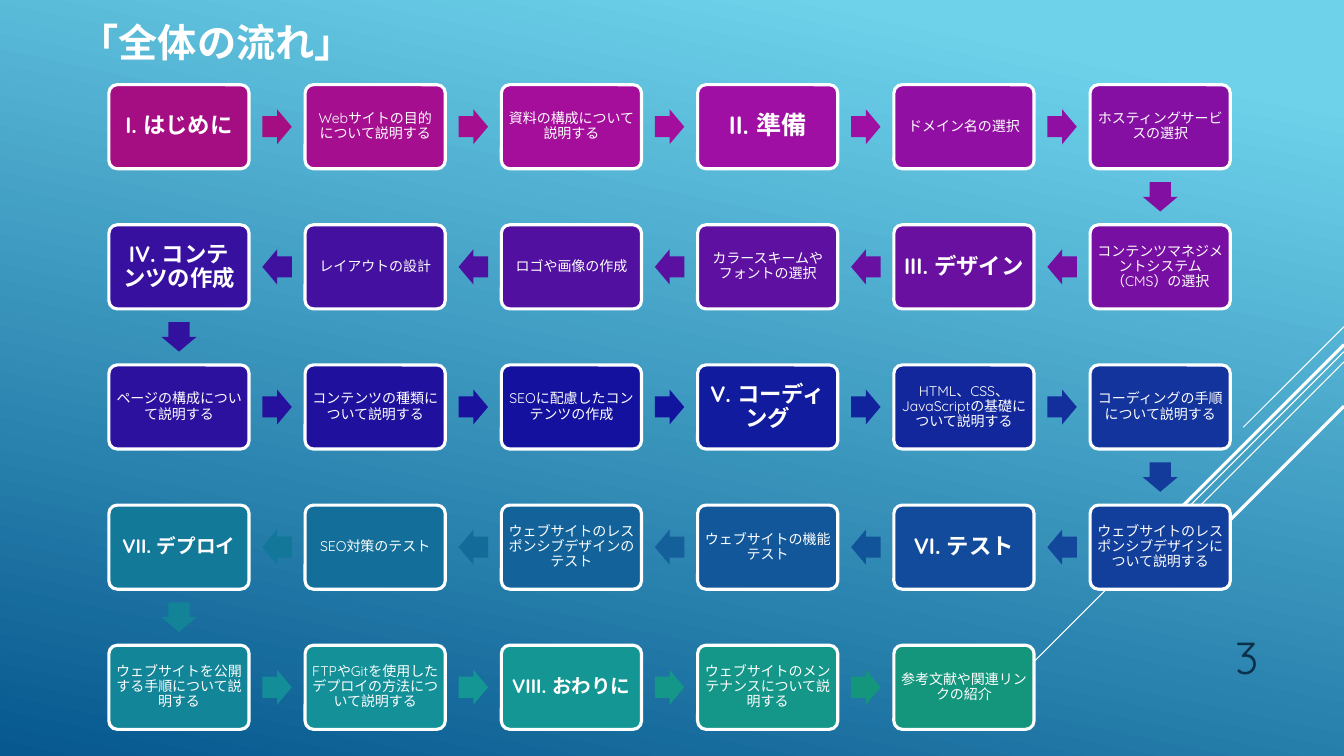
"""Build the slide that shows the whole flow of a web site project."""
from colorsys import hls_to_rgb, rgb_to_hls

from lxml import etree
from pptx import Presentation
from pptx.dml.color import RGBColor
from pptx.enum.shapes import MSO_CONNECTOR, MSO_SHAPE
from pptx.enum.text import MSO_ANCHOR, MSO_AUTO_SIZE, PP_ALIGN
from pptx.oxml.ns import qn
from pptx.util import Inches, Pt

ROUND, ARROW = MSO_SHAPE.ROUNDED_RECTANGLE, MSO_SHAPE.RIGHT_ARROW
LINE = MSO_CONNECTOR.STRAIGHT
TOP, MIDDLE, BOTTOM = MSO_ANCHOR.TOP, MSO_ANCHOR.MIDDLE, MSO_ANCHOR.BOTTOM
LEFT, CENTER, RIGHT = PP_ALIGN.LEFT, PP_ALIGN.CENTER, PP_ALIGN.RIGHT
GROW = MSO_AUTO_SIZE.SHAPE_TO_FIT_TEXT

WHITE = RGBColor(0xFF, 0xFF, 0xFF)
NAVY = RGBColor(0x0A, 0x30, 0x4A)
SKY = RGBColor(0x6E, 0xD2, 0xEB)
SEA = RGBColor(0x06, 0x58, 0x8E)
PINK = RGBColor(0xA5, 0x0E, 0x82)
GREEN = RGBColor(0x14, 0x96, 0x7C)

COLS = 6
BODY = 10
STEPS = [
    ("I. はじめに", 16),
    ("Webサイトの目的について説明する", BODY),
    ("資料の構成について説明する", BODY),
    ("II. 準備", 18),
    ("ドメイン名の選択", BODY),
    ("ホスティングサービスの選択", BODY),
    ("コンテンツマネジメントシステム（CMS）の選択", BODY),
    ("III. デザイン", 16),
    ("カラースキームやフォントの選択", BODY),
    ("ロゴや画像の作成", BODY),
    ("レイアウトの設計", BODY),
    ("IV. コンテンツの作成", 16),
    ("ページの構成について説明する", BODY),
    ("コンテンツの種類について説明する", BODY),
    ("SEOに配慮したコンテンツの作成", BODY),
    ("V. コーディング", 16),
    ("HTML、CSS、JavaScriptの基礎について説明する", BODY),
    ("コーディングの手順について説明する", BODY),
    ("ウェブサイトのレスポンシブデザインについて説明する", BODY),
    ("VI. テスト", 16),
    ("ウェブサイトの機能テスト", BODY),
    ("ウェブサイトのレスポンシブデザインのテスト", BODY),
    ("SEO対策のテスト", BODY),
    ("VII. デプロイ", 14),
    ("ウェブサイトを公開する手順について説明する", BODY),
    ("FTPやGitを使用したデプロイの方法について説明する", BODY),
    ("VIII. おわりに", 14),
    ("ウェブサイトのメンテナンスについて説明する", BODY),
    ("参考文献や関連リンクの紹介", BODY),
]
RAYS = [(43.2, 13.33, 0.75), (46.53, 43.47, 0.75), (47.87, 27.6, 0.75),
        (45.6, 25.47, 2.25), (53.73, 18.53, 2.25)]


def blend(part):
    """Return the colour at a share of the way from pink to green by hue."""
    ends = [rgb_to_hls(*(c / 255 for c in tone)) for tone in (PINK, GREEN)]
    mix = [a + (b - a) * part for a, b in zip(*ends)]
    return RGBColor(*(round(c * 255) for c in hls_to_rgb(*mix)))


def cell(num):
    """Return the column and row of a step on the winding route."""
    row, col = divmod(num, COLS)
    return (COLS - 1 - col if row % 2 else col), row


class Deck:
    """Hold the style and the current slide; lengths are percent of its size."""

    font = "Quicksand"

    def __init__(self):
        """Open a title-only slide and set up the grid of steps."""
        self.prs = Presentation()
        self.prs.slide_width, self.prs.slide_height = Inches(13.33), Inches(7.5)
        self.slide = self.prs.slides.add_slide(self.prs.slide_layouts[5])
        self.shapes = self.slide.shapes
        self.wide = self.x(10.43)
        self.high = int(self.wide * 0.6)

    def x(self, part):
        """Turn a percentage of the width into a length."""
        return int(self.prs.slide_width * part / 100)

    def y(self, part):
        """Turn a percentage of the height into a length."""
        return int(self.prs.slide_height * part / 100)

    def spot(self, col, row):
        """Return the centre of a grid cell."""
        return (self.x(8.1) + self.wide * (0.5 + 1.4 * col),
                self.y(11.2) + self.high / 2 + self.wide * row)

    def back(self):
        """Fill the background with the blue gradient."""
        fill = self.slide.background.fill
        fill.gradient()
        fill.gradient_angle = 258
        for stop, tone, place in zip(fill.gradient_stops, (SKY, SEA), (0.1, 1)):
            stop.color.rgb, stop.position = tone, place

    def label(self, frame, text, size, tone, align, anchor, bold=False):
        """Set one paragraph of text and its format."""
        frame.text = text
        frame.vertical_anchor = anchor
        para = frame.paragraphs[0]
        para.alignment = align
        font = para.runs[0].font
        font.name, font.size, font.bold = self.font, Pt(size), bold
        font.color.rgb = tone
        return para

    def place(self, shape, left, top, wide, high):
        """Move and size a shape."""
        shape.left, shape.top = self.x(left), self.y(top)
        shape.width, shape.height = self.x(wide), self.y(high)

    def title(self, text):
        """Fill the title placeholder."""
        shape = self.shapes.title
        self.place(shape, 5.18, 1.73, 22.13, 7.6)
        self.label(shape.text_frame, text, 28, WHITE, LEFT, TOP, True)
        shape.text_frame.word_wrap = False
        shape.text_frame.auto_size = GROW

    def page(self, text):
        """Add the slide number."""
        box = self.shapes.add_textbox(0, 0, 0, 0)
        self.place(box, 85, 81.33, 9.38, 9.73)
        box.text_frame.word_wrap = True
        self.label(box.text_frame, text, 32, NAVY, RIGHT, BOTTOM)

    def ray(self, top, drop, width):
        """Add a diagonal line that runs down from the right edge."""
        edge, fall = self.x(100), self.y(drop)
        line = self.shapes.add_connector(
            LINE, edge, self.y(top), edge - fall, self.y(top) + fall)
        line.line.color.rgb, line.line.width = WHITE, Pt(width)
        etree.SubElement(line._element.spPr, qn("a:effectLst"))

    def solid(self, kind, mid, wide, high, tone, bends):
        """Add a filled shape around a centre point."""
        shape = self.shapes.add_shape(
            kind, int(mid[0] - wide / 2), int(mid[1] - high / 2), int(wide), int(high))
        for num, bend in enumerate(bends):
            shape.adjustments[num] = bend
        shape.shadow.inherit = False
        shape.fill.solid()
        shape.fill.fore_color.rgb = tone
        return shape

    def step(self, num, text, size, tone):
        """Add the box of one step."""
        box = self.solid(ROUND, self.spot(*cell(num)), self.wide, self.high, tone, [0.1])
        box.line.color.rgb, box.line.width = WHITE, Pt(2.25)
        frame = box.text_frame
        frame.word_wrap = True
        frame.margin_left = frame.margin_right = Inches(size / 240)
        frame.margin_top = frame.margin_bottom = Inches(size / 240)
        para = self.label(frame, text, size, WHITE, CENTER, MIDDLE, size > BODY)
        para.line_spacing = 0.9

    def arrow(self, num, tone):
        """Add the arrow from one step to the next."""
        here, goal = cell(num), cell(num + 1)
        mid = [(a + b) / 2 for a, b in zip(self.spot(*here), self.spot(*goal))]
        shape = self.solid(ARROW, mid, self.wide * 0.21, self.wide * 0.25, tone, [0.6, 0.5])
        shape.line.fill.background()
        if here[1] != goal[1]:
            shape.rotation = 90
        elif goal[0] < here[0]:
            shape.rotation = 180


deck = Deck()
deck.back()
deck.title("「全体の流れ」")
for ray in RAYS:
    deck.ray(*ray)
last = len(STEPS) - 1
for num, (text, size) in enumerate(STEPS):
    deck.step(num, text, size, blend(num / last))
    if num < last:
        deck.arrow(num, blend(num / (last - 1)))
deck.page("3")
deck.prs.save("out.pptx")
